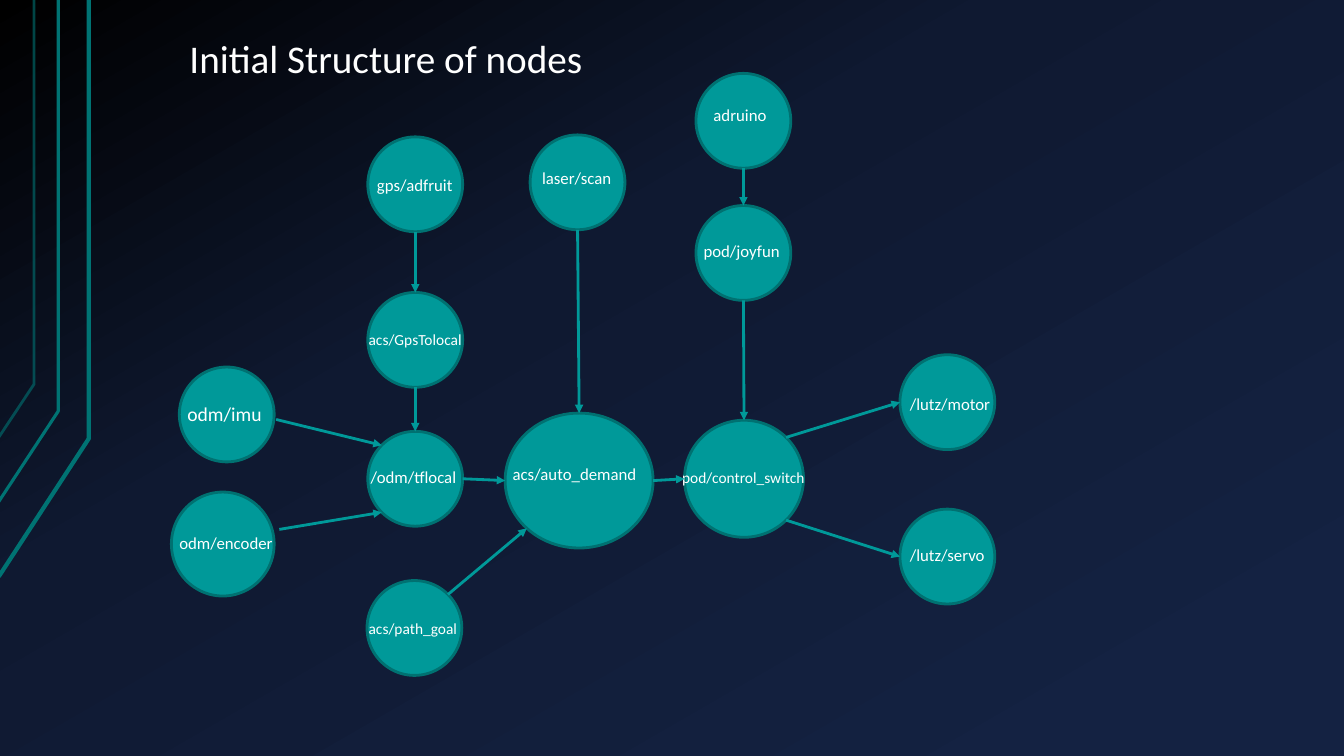
from copy import deepcopy
from dataclasses import dataclass
from math import cos, radians, sin

from lxml import etree
from pptx import Presentation
from pptx.dml.color import RGBColor
from pptx.enum.shapes import MSO_CONNECTOR, MSO_SHAPE
from pptx.enum.text import MSO_ANCHOR, MSO_AUTO_SIZE, PP_ALIGN
from pptx.oxml.ns import qn
from pptx.util import Cm, Pt

ELLIPSE = MSO_SHAPE.OVAL
STRAIGHT = MSO_CONNECTOR.STRAIGHT
LEFT_ALIGNED = PP_ALIGN.LEFT
TOP_ANCHORED = MSO_ANCHOR.TOP
GROW = MSO_AUTO_SIZE.SHAPE_TO_FIT_TEXT
TITLE_ONLY = 5

# Connection sites of an ellipse, counted counter-clockwise from the top
TOP, TOP_LEFT, LEFT, BOTTOM_LEFT, BOTTOM, BOTTOM_RIGHT, RIGHT, TOP_RIGHT = range(8)


@dataclass(frozen=True)
class Theme:
    font: str = "Calibri"
    text: RGBColor = RGBColor(0xFF, 0xFF, 0xFF)
    node: RGBColor = RGBColor(0x00, 0x99, 0x99)
    node_edge: RGBColor = RGBColor(0x00, 0x71, 0x71)
    stripe: RGBColor = RGBColor(0x00, 0x73, 0x73)
    background: tuple = (
        (0, RGBColor(0x00, 0x00, 0x00)),
        (0.38, RGBColor(0x0F, 0x19, 0x31)),
        (0.9, RGBColor(0x14, 0x22, 0x42)),
    )
    title_size: int = 28
    line_width: float = 2


# name: circle (left, top, width, height), label (left, top, width), type size
DIAMETER = 2.39
NODES = {
    "gps/adfruit": ((9.27, 3.45, DIAMETER, DIAMETER), (9.25, 4.27, 3), 12),
    "odm/encoder": ((4.32, 12.4, 2.59, 2.62), (4.27, 13.31, 3.28), 12),
    "pod/control_switch": ((17.25, 10.59, 3, 2.95), (16.94, 11.66, 3.61), 11),
    "acs/auto_demand": ((12.73, 10.41, 3.73, 3.4), (12.67, 11.56, 3.73), 12),
    "acs/path_goal": ((9.25, 14.63, DIAMETER, DIAMETER), (9.04, 15.47, 3.71), 11),
    "acs/GpsTolocal": ((9.27, 7.37, DIAMETER, DIAMETER), (9.04, 8.2, 3), 11),
    "adruino": ((17.54, 1.85, DIAMETER, DIAMETER), (17.73, 2.51, 3), 12),
    "/lutz/motor": ((22.68, 8.94, DIAMETER, DIAMETER), (22.68, 9.8, 3), 12),
    "odm/imu": ((4.52, 9.25, DIAMETER, DIAMETER), (4.47, 10.01, 3), 14),
    "laser/scan": ((13.36, 3.4, DIAMETER, DIAMETER), (13.41, 4.11, 3), 12),
    "pod/joyfun": ((17.54, 5.18, DIAMETER, DIAMETER), (17.48, 5.94, 3), 12),
    "/odm/tflocal": ((9.27, 10.87, DIAMETER, DIAMETER), (9.09, 11.63, 3), 12),
    "/lutz/servo": ((22.68, 12.83, DIAMETER, DIAMETER), (22.68, 13.61, 3), 12),
}

LINKS = (
    ("gps/adfruit", BOTTOM, "acs/GpsTolocal", TOP),
    ("acs/GpsTolocal", BOTTOM, "/odm/tflocal", TOP),
    ("/odm/tflocal", RIGHT, "acs/auto_demand", LEFT),
    ("acs/path_goal", TOP_RIGHT, "acs/auto_demand", BOTTOM_LEFT),
    ("laser/scan", BOTTOM, "acs/auto_demand", TOP),
    ("adruino", BOTTOM, "pod/joyfun", TOP),
    ("pod/joyfun", BOTTOM, "pod/control_switch", TOP),
    ("acs/auto_demand", RIGHT, "pod/control_switch", LEFT),
    ("pod/control_switch", TOP_RIGHT, "/lutz/motor", LEFT),
    ("pod/control_switch", BOTTOM_RIGHT, "/lutz/servo", LEFT),
)

# Arrows with a free start: start point, target, site
FREE_LINKS = (
    ((6.96, 10.57), "/odm/tflocal", TOP_LEFT),
    ((7.04, 13.34), "/odm/tflocal", BOTTOM_LEFT),
)

# Points, line width, opacity in percent
STRIPES = (
    (((-0.03, 14.53), (2.24, 11.05), (2.24, 0)), 3, 100),
    (((-0.05, 12.67), (1.47, 10.36), (1.47, 0)), 2.25, 100),
    (((-0.03, 11.02), (0.86, 9.68), (0.86, 0)), 2, 60),
)


def site_point(circle, site):
    angle = radians(90 + 45 * site)
    x = circle.left + circle.width / 2 * (1 + cos(angle))
    y = circle.top + circle.height / 2 * (1 - sin(angle))
    return round(x), round(y)


class NodeSlide:
    def __init__(self, deck, theme):
        self.theme = theme
        self.slide = deck.slides.add_slide(deck.slide_layouts[TITLE_ONLY])
        self.shapes = self.slide.shapes

    def background(self):
        fill = self.slide.background.fill
        fill.gradient()
        fill.gradient_angle = 300
        stop_list = next(self.slide.element.iter(qn("a:gsLst")))
        stop_list.append(deepcopy(stop_list[-1]))
        for stop, (position, color) in zip(fill.gradient_stops, self.theme.background):
            stop.position = position
            stop.color.rgb = color

    def set_text(self, box, text, size):
        frame = box.text_frame
        frame.word_wrap = True
        frame.auto_size = GROW
        frame.vertical_anchor = TOP_ANCHORED
        para = frame.paragraphs[0]
        para.alignment = LEFT_ALIGNED
        span = para.add_run()
        span.text = text
        span.font.name = self.theme.font
        span.font.size = Pt(size)
        span.font.color.rgb = self.theme.text

    def title(self, text, left, top, width, height):
        box = self.shapes.title
        box.left, box.top, box.width, box.height = map(Cm, (left, top, width, height))
        self.set_text(box, text, self.theme.title_size)

    def stripe(self, points, width, opacity):
        start, *others = [(Cm(x), Cm(y)) for x, y in points]
        builder = self.shapes.build_freeform(*start)
        builder.add_line_segments(others, close=False)
        stripe = builder.convert_to_shape()
        stripe.shadow.inherit = False
        stripe.fill.background()
        stripe.line.color.rgb = self.theme.stripe
        stripe.line.width = Pt(width)
        if opacity < 100:
            color = next(stripe.element.spPr.iter(qn("a:srgbClr")))
            etree.SubElement(color, qn("a:alpha"), val=str(opacity * 1000))

    def circle(self, place):
        circle = self.shapes.add_shape(ELLIPSE, *map(Cm, place))
        circle.shadow.inherit = False
        circle.fill.solid()
        circle.fill.fore_color.rgb = self.theme.node
        circle.line.color.rgb = self.theme.node_edge
        circle.line.width = Pt(self.theme.line_width)
        return circle

    def label(self, text, left, top, width, size):
        height = 0.25 + size * 0.043
        box = self.shapes.add_textbox(Cm(left), Cm(top), Cm(width), Cm(height))
        self.set_text(box, text, size)

    def arrow(self, start, end):
        arrow = self.shapes.add_connector(STRAIGHT, *start, *end)
        arrow.line.color.rgb = self.theme.node
        arrow.line.width = Pt(self.theme.line_width)
        outline = next(arrow.element.iter(qn("a:ln")))
        etree.SubElement(outline, qn("a:tailEnd"), type="triangle")
        etree.SubElement(arrow.element.spPr, qn("a:effectLst"))
        return arrow

    def join(self, arrow, tag, circle, site):
        """Attach an arrow end to one of the eight ellipse sites."""
        holder = next(arrow.element.iter(qn("p:cNvCxnSpPr")))
        etree.SubElement(holder, qn(tag), id=str(circle.shape_id), idx=str(site))


def main():
    deck = Presentation()
    deck.slide_width, deck.slide_height = Cm(33.87), Cm(19.05)
    page = NodeSlide(deck, Theme())
    page.background()
    for points, width, opacity in STRIPES:
        page.stripe(points, width, opacity)
    page.title("Initial Structure of nodes", 4.52, 0.74, 11.4, 1.45)

    circles = {name: page.circle(place) for name, (place, _, _) in NODES.items()}
    for name, (_, place, size) in NODES.items():
        page.label(name, *place, size)

    for source, exit_site, target, entry_site in LINKS:
        first, last = circles[source], circles[target]
        arrow = page.arrow(site_point(first, exit_site), site_point(last, entry_site))
        page.join(arrow, "a:stCxn", first, exit_site)
        page.join(arrow, "a:endCxn", last, entry_site)
    for (x, y), target, site in FREE_LINKS:
        arrow = page.arrow((Cm(x), Cm(y)), site_point(circles[target], site))
        page.join(arrow, "a:endCxn", circles[target], site)
    deck.save("out.pptx")


if __name__ == "__main__":
    main()
